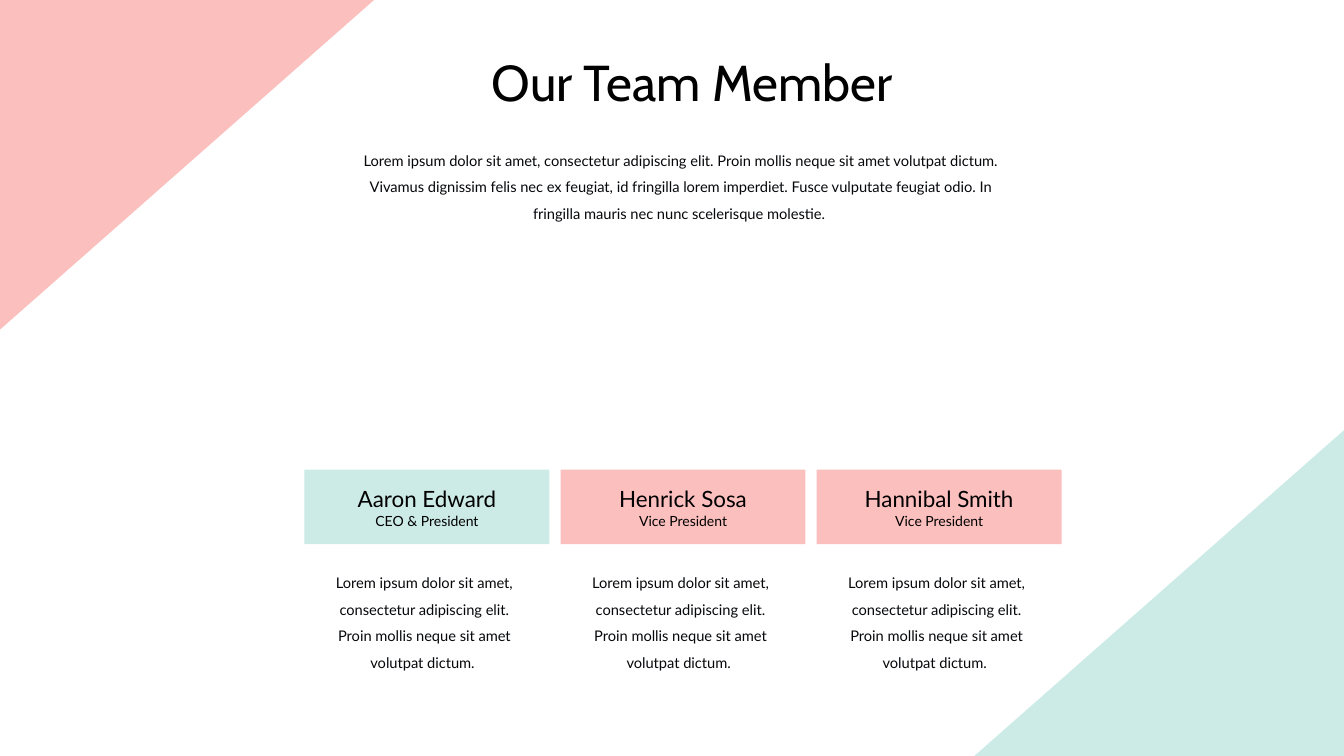
import pptx
import pptx.dml.color
import pptx.enum.shapes
import pptx.enum.text
import pptx.util

Inches = pptx.util.Inches
PINK, MINT, BLACK, INK = "FBBFBE", "CCEBE6", "000000", "07080B"
SLIDE_WIDTH, SLIDE_HEIGHT = 13.33, 7.5
INTRO = (
    "Lorem ipsum dolor sit amet, consectetur adipiscing elit. Proin mollis neque sit amet "
    "volutpat dictum. Vivamus dignissim felis nec ex feugiat, id fringilla lorem imperdiet. "
    "Fusce vulputate feugiat odio. In fringilla mauris nec nunc scelerisque molestie. "
)
BIOGRAPHY = (
    "Lorem ipsum dolor sit amet, consectetur adipiscing elit. "
    "Proin mollis neque sit amet volutpat dictum. "
)
MEMBERS = [
    ("Aaron Edward", "CEO & President", MINT),
    ("Henrick Sosa", "Vice President", PINK),
    ("Hannibal Smith", "Vice President", PINK),
]


def colour(value):
    return pptx.dml.color.RGBColor.from_string(value)


def write(para, text, size, font="Lato", ink=BLACK, spacing=1.0):
    para.text = text
    para.alignment = pptx.enum.text.PP_ALIGN.CENTER
    para.line_spacing = spacing
    para.font.name = font
    para.font.size = pptx.util.Pt(size)
    para.font.color.rgb = colour(ink)


def add_filled(page, preset, box, fill):
    shape = page.shapes.add_shape(preset, *map(Inches, box))
    shape.shadow.inherit = False
    shape.fill.solid()
    shape.fill.fore_color.rgb = colour(fill)
    shape.line.fill.background()
    return shape


def add_body(page, box, text):
    frame = page.shapes.add_textbox(*map(Inches, box)).text_frame
    frame.word_wrap = True
    write(frame.paragraphs[0], text, 10.5, ink=INK, spacing=1.5)


def add_heading(page, left, top, width, height):
    title = page.shapes.title
    title.left, title.top = Inches(left), Inches(top)
    title.width, title.height = Inches(width), Inches(height)
    frame = title.text_frame
    frame.word_wrap = True
    frame.auto_size = pptx.enum.text.MSO_AUTO_SIZE.NONE
    frame.vertical_anchor = pptx.enum.text.MSO_ANCHOR.TOP
    write(frame.paragraphs[0], "Our Team Member", 36, font="Cabin")


def add_member(page, left, top, width, name, role, fill):
    # Name card
    card = add_filled(page, pptx.enum.shapes.MSO_SHAPE.RECTANGLE,
                      (left, top, width, 0.74), fill)
    frame = card.text_frame
    frame.vertical_anchor = pptx.enum.text.MSO_ANCHOR.MIDDLE
    write(frame.paragraphs[0], name, 16)
    write(frame.add_paragraph(), role, 10)
    # Biography
    add_body(page, (left + 0.13, top + 0.9, 2.12, 1.16), BIOGRAPHY)


def add_team(page, left, top, width, gap):
    card_width = (width - gap * (len(MEMBERS) - 1)) / len(MEMBERS)
    for index, member in enumerate(MEMBERS):
        add_member(page, left + index * (card_width + gap), top, card_width, *member)


def add_corner(page, left, top, width, height, rotation, fill):
    # A quarter turn swaps the sides around the same centre
    shift = (width - height) / 2
    corner = add_filled(page, pptx.enum.shapes.MSO_SHAPE.RIGHT_TRIANGLE,
                        (left + shift, top - shift, height, width), fill)
    corner.rotation = rotation


def main():
    deck = pptx.Presentation()
    deck.slide_width, deck.slide_height = Inches(SLIDE_WIDTH), Inches(SLIDE_HEIGHT)
    page = deck.slides.add_slide(deck.slide_layouts[5])
    page.background.fill.solid()
    page.background.fill.fore_color.rgb = colour("FFFFFF")

    # Heading and introduction
    add_heading(page, 3.73, 0.46, 6.27, 0.71)
    add_body(page, (3.35, 1.37, 6.81, 0.9), INTRO)

    # Team columns
    add_team(page, 3.02, 4.66, 7.51, 0.11)

    # Corner triangles
    width, height = 3.71, 3.27
    add_corner(page, 0, 0, width, height, 90, PINK)
    add_corner(page, SLIDE_WIDTH - width + 0.02, SLIDE_HEIGHT - height + 0.02,
               width, height, 270, MINT)

    deck.save("out.pptx")


if __name__ == "__main__":
    main()
